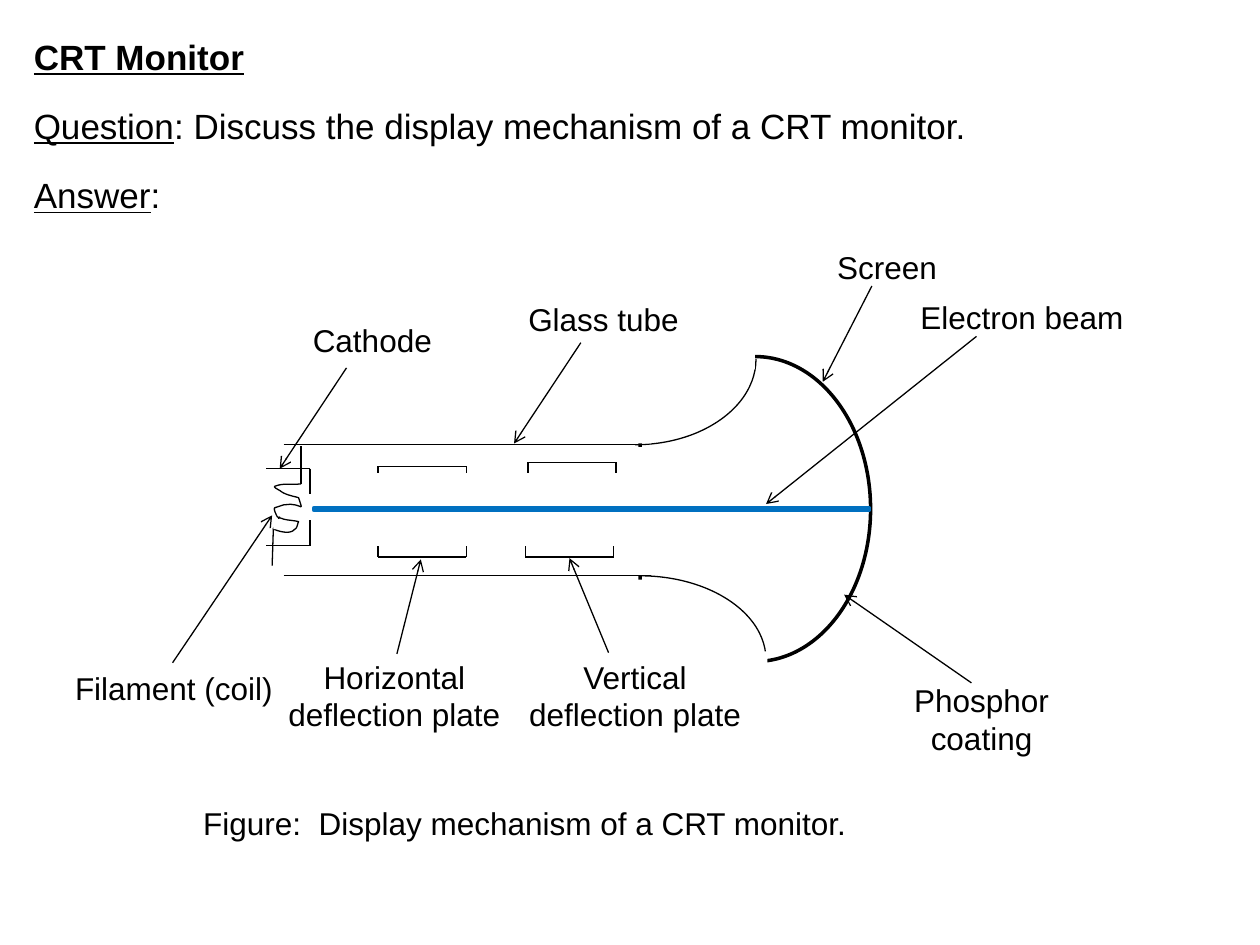
from lxml import etree
from pptx import Presentation, util as u
from pptx.dml.color import RGBColor
from pptx.enum import shapes, text
from pptx.oxml import ns

BLACK = RGBColor(0, 0, 0)
WHITE = RGBColor(255, 255, 255)
BLUE = RGBColor(0, 0x70, 0xC0)
KIND = shapes.MSO_SHAPE


class Board:
    def __init__(self, slide):
        self.slide = slide
        self.thin = 0.75
        self.bold = 2
        self.font = dict(name="Arial", size=u.Pt(18))

    def style(self, item, fill=None, line=None, width=0.75):
        item.shadow.inherit = False
        if fill is None:
            item.fill.background()
        else:
            item.fill.solid()
            item.fill.fore_color.rgb = fill
        if line is None:
            item.line.fill.background()
        else:
            item.line.color.rgb = line
            item.line.width = u.Pt(width)

    def shape(self, kind, box, **look):
        item = self.slide.shapes.add_shape(kind, *map(u.Inches, box))
        self.style(item, **look)
        return item

    def mask(self, *box, line=None):
        self.shape(KIND.RECTANGLE, box, fill=WHITE, line=line, width=self.bold)

    def arc(self, box, start, end):
        """Draw part of an ellipse, clockwise from start to end degrees."""
        item = self.shape(KIND.ARC, box, line=BLACK, width=self.thin)
        for i, angle in enumerate((start, end)):
            item.adjustments[i] = angle * 0.6

    def line(self, x1, y1, x2, y2, arrow=False):
        ends = map(u.Inches, (x1, y1, x2, y2))
        item = self.slide.shapes.add_connector(shapes.MSO_CONNECTOR.STRAIGHT, *ends)
        item.line.color.rgb = BLACK
        item.line.width = u.Pt(self.thin)
        if arrow:
            tail = etree.SubElement(item.line._get_or_add_ln(), ns.qn("a:tailEnd"))
            tail.set("type", "arrow")
        etree.SubElement(item._element.spPr, ns.qn("a:effectLst"))

    def plate(self, x, y, leg):
        """Draw a flat bracket; a negative leg points up."""
        end = x + 0.7
        self.line(x, y, end, y)
        for side in (x, end):
            self.line(side, y, side, y + leg)

    def curve(self, start, parts, steps=8):
        """Draw an open run of cubic curves as short segments."""
        dots, p = [], start
        for a, b, c in parts:
            for i in range(1, steps + 1):
                t = i / steps
                s = 1 - t
                dots.append([
                    u.Inches(s**3 * p[k] + 3 * s * s * t * a[k]
                             + 3 * s * t * t * b[k] + t**3 * c[k])
                    for k in (0, 1)])
            p = c
        pen = self.slide.shapes.build_freeform(*map(u.Inches, start))
        pen.add_line_segments(dots, close=False)
        self.style(pen.convert_to_shape(), line=BLACK, width=self.thin)

    def frame(self, box, **form):
        frame = self.slide.shapes.add_textbox(*map(u.Inches, box)).text_frame
        form = dict(word_wrap=True) | form
        for key, val in form.items():
            setattr(frame, key, val)
        return frame

    def run(self, para, words, **form):
        run = para.add_run()
        run.text = words
        run.font.color.rgb = BLACK
        for key, val in (self.font | form).items():
            setattr(run.font, key, val)

    def label(self, words, *box):
        para = self.frame(box, auto_size=text.MSO_AUTO_SIZE.SHAPE_TO_FIT_TEXT).paragraphs[0]
        para.alignment = text.PP_ALIGN.CENTER
        self.run(para, words)

    def intro(self, rows, *box):
        frame = self.frame(box, vertical_anchor=text.MSO_ANCHOR.MIDDLE)
        for i, (head, rest, bold) in enumerate(rows):
            para = frame.add_paragraph() if i else frame.paragraphs[0]
            if i:
                para.space_before = u.Pt(15.6)
            self.run(para, head, size=u.Pt(20), underline=True, bold=bold)
            if rest:
                self.run(para, rest, size=u.Pt(20))


def tube(board):
    board.arc((4.08, 4.57, 2, 1.33), 270, 0)
    for y in (3.53, 4.57):
        board.line(2.25, y, 5.08, y)
    board.shape(KIND.FLOWCHART_DELAY, (5.08, 2.83, 1.83, 2.42),
                line=BLACK, width=board.bold)
    board.mask(5.04, 3.56, 0.08, 1, line=WHITE)
    board.arc((4.08, 2.17, 1.92, 1.36), 0, 90)
    board.mask(4.81, 2.75, 1.17, 0.17, line=WHITE)
    board.mask(4.92, 5.17, 1.17, 0.17)
    board.mask(5, 2.77, 0.17, 0.75)
    board.mask(5, 4.6, 0.17, 0.67)
    board.line(5, 4.57, 5.17, 4.57)
    board.shape(KIND.RECTANGLE, (2.49, 4.03, 4.41, 0.02),
                fill=BLUE, line=BLUE, width=board.bold)


def gun(board):
    for plate in ((4.19, 3.67, 0.08), (3, 3.7, 0.05),
                  (3, 4.42, -0.09), (4.17, 4.42, -0.09)):
        board.plate(*plate)
    for y, gap in ((3.72, 3.92), (4.33, 4.13)):
        board.line(2.46, y, 2.46, gap)
        board.line(2.46, y, 2.11, y)
    board.line(2.17, 4.19, 2.16, 4.49)
    board.curve((2.39, 3.84), (
        ((2.32, 3.85), (2.25, 3.83), (2.18, 3.86)),
        ((2.17, 3.87), (2.22, 3.89), (2.23, 3.9)),
        ((2.27, 3.93), (2.34, 3.94), (2.37, 3.95)),
        ((2.42, 4.11), (2.39, 3.94), (2.18, 4.03)),
        ((2.17, 4.04), (2.19, 4.08), (2.2, 4.1)),
        ((2.21, 4.11), (2.23, 4.11), (2.25, 4.12)),
        ((2.29, 4.13), (2.33, 4.13), (2.37, 4.14)),
        ((2.36, 4.16), (2.36, 4.19), (2.34, 4.2)),
        ((2.3, 4.25), (2.2, 4.21), (2.17, 4.2)),
        ((2.21, 4.12), (2.19, 4.16), (2.22, 4.1))))
    board.mask(2.17, 4.12, 0.05, 0.08)
    board.line(2.39, 3.54, 2.39, 3.84)


def names(board):
    for words, box, ends in (
        ("Filament (coil)", (0.42, 5.26, 1.92, 0.4), (1.37, 5.26, 2.16, 4.09)),
        ("Horizontal deflection plate", (2.17, 5.17, 1.92, 0.7), (3.15, 5.19, 3.34, 4.44)),
        ("Vertical deflection plate", (4.08, 5.17, 1.92, 0.7), (4.83, 5.18, 4.52, 4.43)),
        ("Cathode", (2.33, 2.5, 1.25, 0.4), (2.75, 2.92, 2.22, 3.72)),
        ("Glass tube", (4.08, 2.33, 1.42, 0.4), (4.61, 2.72, 4.08, 3.52)),
        ("Screen", (6.33, 1.92, 1.42, 0.4), (6.92, 2.27, 6.53, 3.03)),
        ("Phosphor coating", (6.83, 5.36, 1.92, 0.7), (7.71, 5.42, 6.7, 4.72)),
        ("Electron beam", (7.15, 2.32, 1.92, 0.4), (7.75, 2.67, 6.08, 4)),
    ):
        board.line(*ends, arrow=True)
        board.label(words, *box)


def main():
    deck = Presentation()
    deck.slide_width, deck.slide_height = u.Inches(10), u.Inches(7.5)
    board = Board(deck.slides.add_slide(deck.slide_layouts[6]))
    board.intro((
        ("CRT Monitor", "", True),
        ("Question", ": Discuss the display mechanism of a CRT monitor.", False),
        ("Answer", ":", False)), 0.17, 0.08, 9.83, 1.83)
    board.label("Figure:  Display mechanism of a CRT monitor.", 1.5, 6.33, 5.33, 0.4)
    tube(board)
    gun(board)
    names(board)
    deck.save("out.pptx")


if __name__ == "__main__":
    main()
